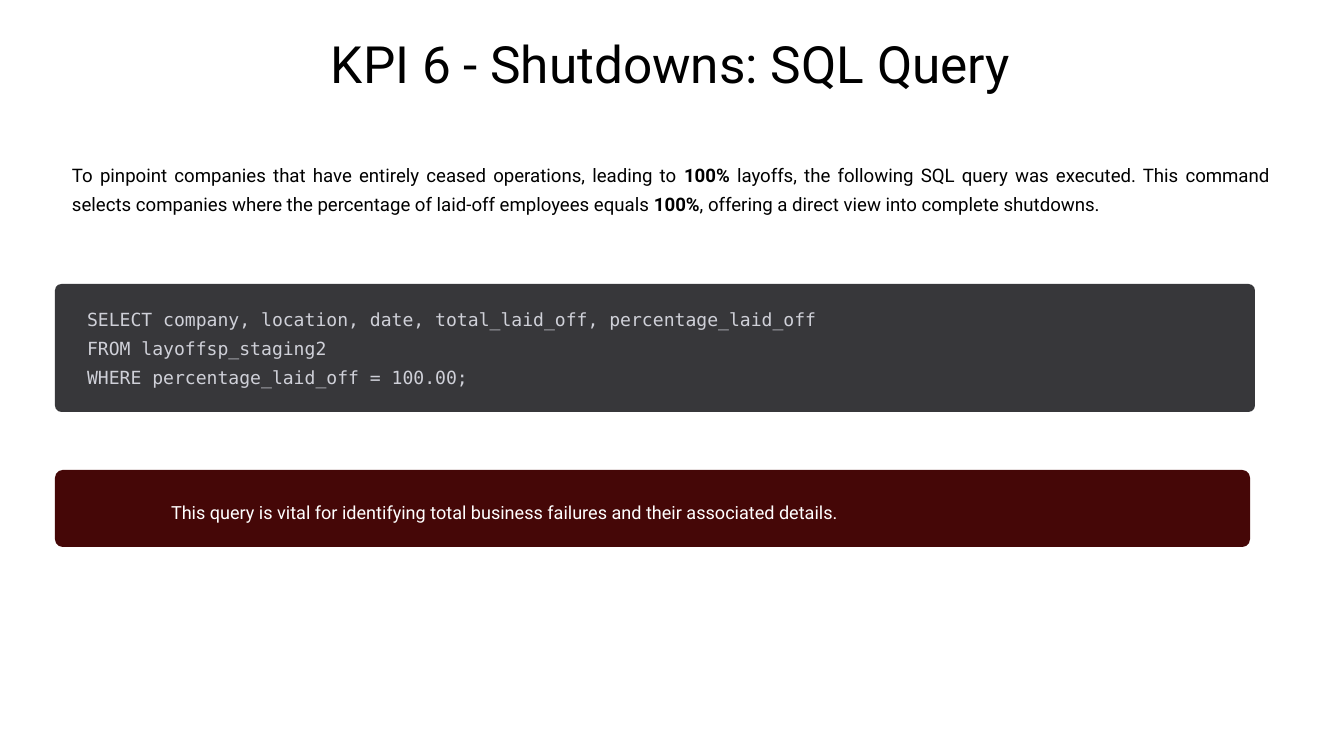
"""Build the shutdowns SQL query slide."""
from pptx import Presentation
from pptx.dml.color import RGBColor
from pptx.enum.shapes import MSO_SHAPE
from pptx.enum.text import PP_ALIGN
from pptx.util import Pt

PX = 914400 / 84
SLIDE = (1344, 756)

PANELS = [
    ((55, 284, 1200, 128), "37373A", 0.05),
    ((55, 470, 1195, 77), "450707", 0.1),
]

TITLE = [[("KPI 6 - Shutdowns: SQL Query", False)]]
INTRO = [[
    ("To pinpoint companies that have entirely ceased operations, leading to ", False),
    ("100%", True),
    (" layoffs, the following SQL query was executed. This command selects "
     "companies where the percentage of laid-off employees equals ", False),
    ("100%", True),
    (", offering a direct view into complete shutdowns.", False),
]]
QUERY = [
    [("SELECT company, location, date, total_laid_off, percentage_laid_off", False)],
    [("FROM layoffsp_staging2", False)],
    [("WHERE percentage_laid_off = 100.00;", False)],
]
NOTE = [[("This query is vital for identifying total business failures "
          "and their associated details.", False)]]

TEXTS = [
    ((297, 66, 748, 53), TITLE, False, PP_ALIGN.CENTER, 24,
     {"name": "Roboto", "size": Pt(44)}, "000000"),
    ((72, 157, 1198, 97), INTRO, True, PP_ALIGN.JUSTIFY, 25,
     {"name": "Roboto", "size": Pt(16)}, "000000"),
    ((87, 301, 1163, 29), QUERY, False, PP_ALIGN.LEFT, 25,
     {"name": "DejaVu Sans Mono", "size": Pt(15.5)}, "CFD0D8"),
    ((171, 494, 1121, 29), NOTE, False, PP_ALIGN.LEFT, 25,
     {"name": "Roboto", "size": Pt(15.5)}, "FFFFFF"),
]
NO_INSETS = dict.fromkeys(
    ("margin_left", "margin_top", "margin_right", "margin_bottom"), 0)


def emu(lengths):
    return [round(n * PX) for n in lengths]


def color(hex_code):
    return RGBColor.from_string(hex_code)


def set_all(target, values):
    for name, value in values.items():
        setattr(target, name, value)


def add_panel(s, box, fill, radius):
    sp = s.shapes.add_shape(MSO_SHAPE.ROUNDED_RECTANGLE, *emu(box))
    sp.adjustments[0] = radius
    sp.shadow.inherit = False
    sp.fill.solid()
    sp.fill.fore_color.rgb = color(fill)
    sp.line.fill.background()


def add_text(s, box, lines, wrap, align, spacing, font, ink):
    tf = s.shapes.add_textbox(*emu(box)).text_frame
    set_all(tf, {**NO_INSETS, "word_wrap": wrap})
    for i, runs in enumerate(lines):
        p = tf.add_paragraph() if i else tf.paragraphs[0]
        set_all(p, {"alignment": align, "line_spacing": Pt(spacing)})
        for text, bold in runs:
            r = p.add_run()
            r.text = text
            set_all(r.font, {**font, "bold": bold})
            r.font.color.rgb = color(ink)


def main():
    prs = Presentation()
    prs.slide_width, prs.slide_height = emu(SLIDE)
    s = prs.slides.add_slide(prs.slide_layouts[6])
    for panel in PANELS:
        add_panel(s, *panel)
    for text in TEXTS:
        add_text(s, *text)
    prs.save("out.pptx")


if __name__ == "__main__":
    main()
